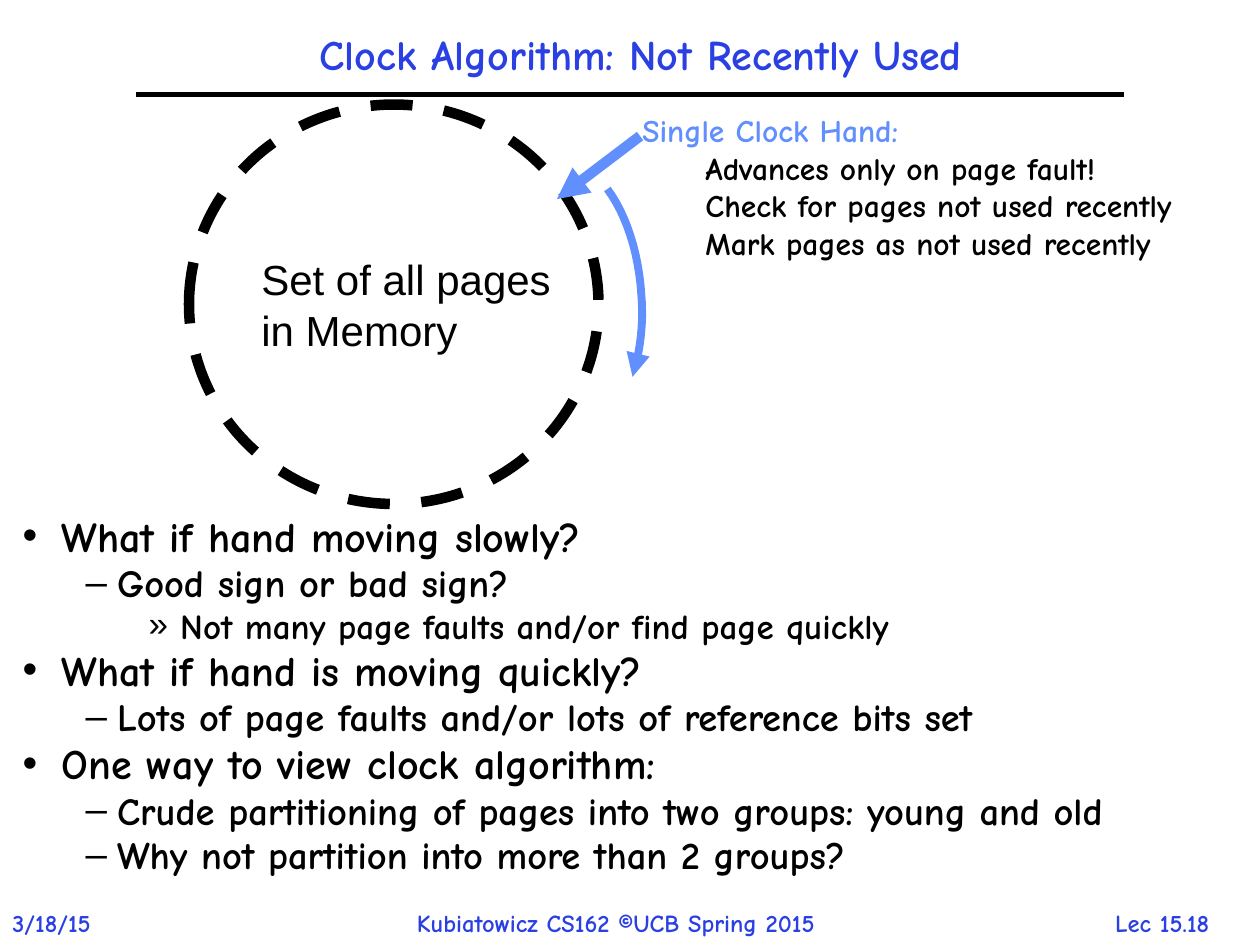
from dataclasses import dataclass

from lxml.etree import SubElement
from pptx import Presentation
from pptx.dml.color import RGBColor
from pptx.enum.dml import MSO_LINE
from pptx.enum.shapes import MSO_CONNECTOR, MSO_SHAPE
from pptx.enum.text import MSO_ANCHOR, MSO_AUTO_SIZE, PP_ALIGN
from pptx.oxml.ns import qn
from pptx.util import Inches, Pt


@dataclass(frozen=True)
class Theme:
    heading: RGBColor = RGBColor(0x2A, 0x40, 0xE2)
    hand: RGBColor = RGBColor(0x61, 0x8F, 0xFD)
    ink: RGBColor = RGBColor(0, 0, 0)
    font: str = "Comic Neue"
    plain_font: str = "Arial"
    title_size: int = 24
    note_size: int = 18
    footer_size: int = 14
    level_sizes: tuple = (24, 22, 20)


THEME = Theme()
LEVELS = (("•", 0.31, 0.31), ("–", 0.75, 0.25), ("»", 1.25, 0.25))
QUESTIONS = (
    (0, "What if hand moving slowly?"),
    (1, "Good sign or bad sign?"),
    (2, "Not many page faults and/or find page quickly"),
    (0, "What if hand is moving quickly?"),
    (1, "Lots of page faults and/or lots of reference bits set"),
    (0, "One way to view clock algorithm:"),
    (1, "Crude partitioning of pages into two groups: young and old"),
    (1, "Why not partition into more than 2 groups?"),
)
HAND_NOTES = (
    "Advances only on page fault!",
    "Check for pages not used recently",
    "Mark pages as not used recently",
)
SWEEP = (
    ((4.82, 1.5), (4.97, 1.7), (5.07, 2.01), (5.09, 2.34)),
    ((5.09, 2.34), (5.11, 2.57), (5.08, 2.79), (5.02, 2.99)),
)


def inches(box):
    return [Inches(length) for length in box]


def place(placeholder, box):
    placeholder.left, placeholder.top, placeholder.width, placeholder.height = inches(box)


def set_margins(frame, side, end):
    frame.margin_left = frame.margin_right = Inches(side)
    frame.margin_top = frame.margin_bottom = Inches(end)


def add_run(paragraph, text, size, color, font=THEME.font, bold=True):
    run = paragraph.add_run()
    run.text = text
    run.font.name = font
    run.font.size = Pt(size)
    run.font.bold = bold
    run.font.color.rgb = color


def next_paragraph(frame, index):
    return frame.add_paragraph() if index else frame.paragraphs[0]


def indent(paragraph, left, hanging=0):
    properties = paragraph._p.get_or_add_pPr()
    properties.set("marL", str(Inches(left)))
    properties.set("indent", str(-Inches(hanging)))
    return properties


def style_line(shape, color, width, arrow=False):
    shape.line.color.rgb = color
    shape.line.width = Pt(width)
    if arrow:
        SubElement(shape.line._get_or_add_ln(), qn("a:tailEnd"), type="triangle")


def add_straight(slide, start, end, color, width, arrow=False):
    connector = slide.shapes.add_connector(
        MSO_CONNECTOR.STRAIGHT, *inches(start), *inches(end))
    style_line(connector, color, width, arrow)
    SubElement(connector._element.spPr, qn("a:effectLst"))


def add_title(slide, box):
    title = slide.shapes.title
    place(title, box)
    frame = title.text_frame
    frame.word_wrap = False
    frame.auto_size = MSO_AUTO_SIZE.NONE
    frame.vertical_anchor = MSO_ANCHOR.MIDDLE
    set_margins(frame, 0.07, 0.03)
    heading = frame.paragraphs[0]
    heading.alignment = PP_ALIGN.CENTER
    heading.line_spacing = 0.9
    add_run(heading, "Clock Algorithm: Not Recently Used", THEME.title_size, THEME.heading)


def add_page_ring(slide, box):
    ring = slide.shapes.add_shape(MSO_SHAPE.OVAL, *inches(box))
    ring.shadow.inherit = False
    ring.fill.background()
    style_line(ring, THEME.ink, 6)
    ring.line.dash_style = MSO_LINE.DASH
    frame = ring.text_frame
    frame.word_wrap = False
    frame.vertical_anchor = MSO_ANCHOR.MIDDLE
    for index, text in enumerate(("Set of all pages", "in Memory")):
        paragraph = next_paragraph(frame, index)
        paragraph.alignment = PP_ALIGN.LEFT
        add_run(paragraph, text, THEME.title_size, THEME.ink, THEME.plain_font, False)


def curve_point(curve, t):
    weights = ((1 - t) ** 3, 3 * t * (1 - t) ** 2, 3 * t * t * (1 - t), t ** 3)
    return tuple(Inches(sum(w * point[axis] for w, point in zip(weights, curve)))
                 for axis in (0, 1))


def add_sweep_arrow(slide, curves, steps=12):
    points = [curve_point(curve, step / steps)
              for curve in curves for step in range(1, steps + 1)]
    builder = slide.shapes.build_freeform(*curve_point(curves[0], 0))
    builder.add_line_segments(points, close=False)
    sweep = builder.convert_to_shape()
    sweep.shadow.inherit = False
    sweep.fill.background()
    style_line(sweep, THEME.hand, 4.5, arrow=True)


def add_hand_notes(slide, box):
    frame = slide.shapes.add_textbox(*inches(box)).text_frame
    frame.word_wrap = True
    add_run(frame.paragraphs[0], "Single Clock Hand:", THEME.note_size, THEME.hand)
    for note in HAND_NOTES:
        paragraph = frame.add_paragraph()
        paragraph.level = 1
        indent(paragraph, 0.5)
        add_run(paragraph, note, THEME.note_size, THEME.ink)


def add_questions(slide, box):
    body = slide.placeholders[1]
    place(body, box)
    frame = body.text_frame
    frame.auto_size = MSO_AUTO_SIZE.NONE
    set_margins(frame, 0.1, 0.05)
    for index, (level, text) in enumerate(QUESTIONS):
        bullet, left, hanging = LEVELS[level]
        paragraph = next_paragraph(frame, index)
        paragraph.level = level
        SubElement(indent(paragraph, left, hanging), qn("a:buChar"), char=bullet)
        paragraph.line_spacing = 0.8
        if index == 0:
            paragraph.space_before = Pt(0)
        add_run(paragraph, text, THEME.level_sizes[level], THEME.ink)


def add_footer(slide, box, text, alignment):
    frame = slide.shapes.add_textbox(*inches(box)).text_frame
    frame.word_wrap = False
    paragraph = frame.paragraphs[0]
    paragraph.alignment = alignment
    add_run(paragraph, text, THEME.footer_size, THEME.heading)


def build_clock_slide(deck):
    slide = deck.slides.add_slide(deck.slide_layouts[1])
    add_footer(slide, (8.56, 7.16, 1.33, 0.34), "Lec 15.18", PP_ALIGN.CENTER)
    add_footer(slide, (0, 7.16, 1, 0.34), "3/18/15", PP_ALIGN.LEFT)
    add_footer(slide, (3.21, 7.16, 3.87, 0.34),
               "Kubiatowicz CS162 ©UCB Spring 2015", PP_ALIGN.LEFT)
    add_straight(slide, (1.08, 0.75), (8.92, 0.75), THEME.ink, 3)
    add_title(slide, (2.09, 0.25, 5.99, 0.41))
    add_page_ring(slide, (1.5, 0.83, 3.25, 3.17))
    add_straight(slide, (5.08, 1.08), (4.42, 1.58), THEME.hand, 6, arrow=True)
    add_hand_notes(slide, (5, 0.83, 4.92, 1.3))
    add_sweep_arrow(slide, SWEEP)
    add_questions(slide, (0.08, 4.08, 9.75, 3.25))


def main():
    deck = Presentation()
    deck.slide_width, deck.slide_height = Inches(10), Inches(7.5)
    build_clock_slide(deck)
    deck.save("out.pptx")


if __name__ == "__main__":
    main()
